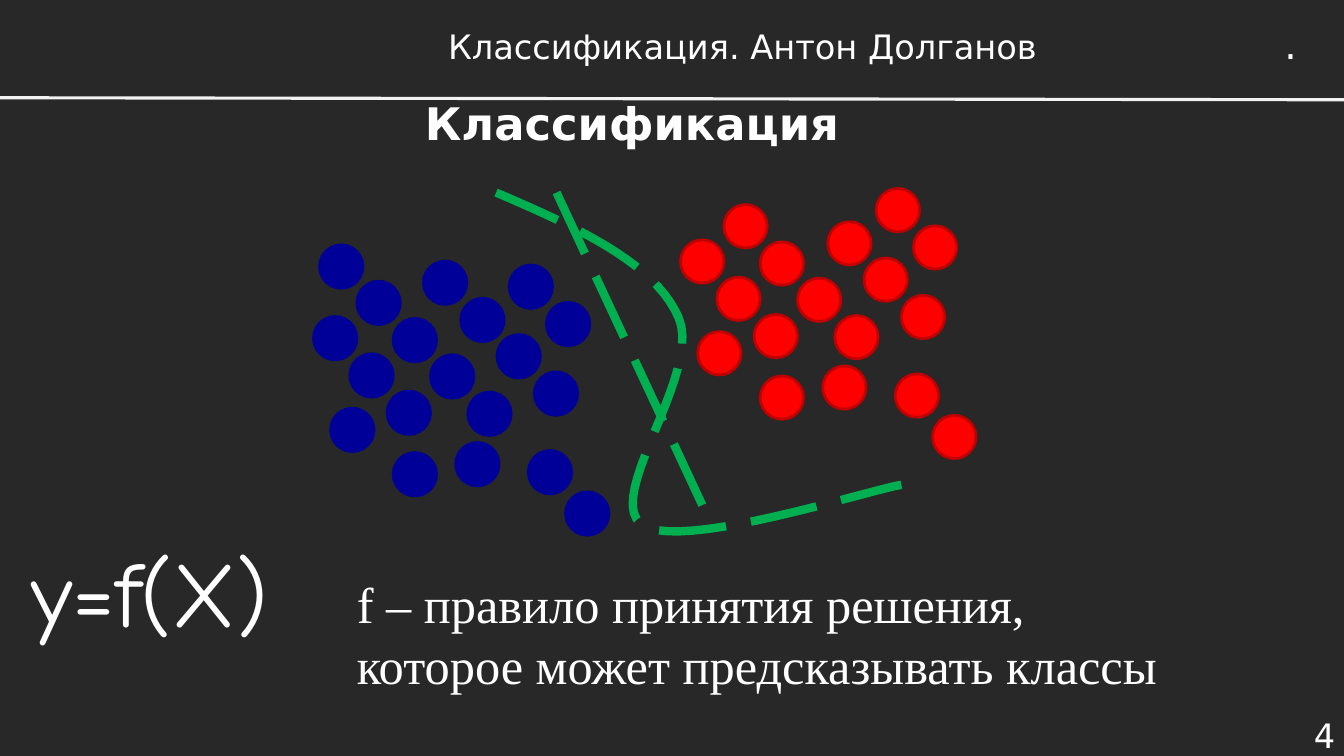
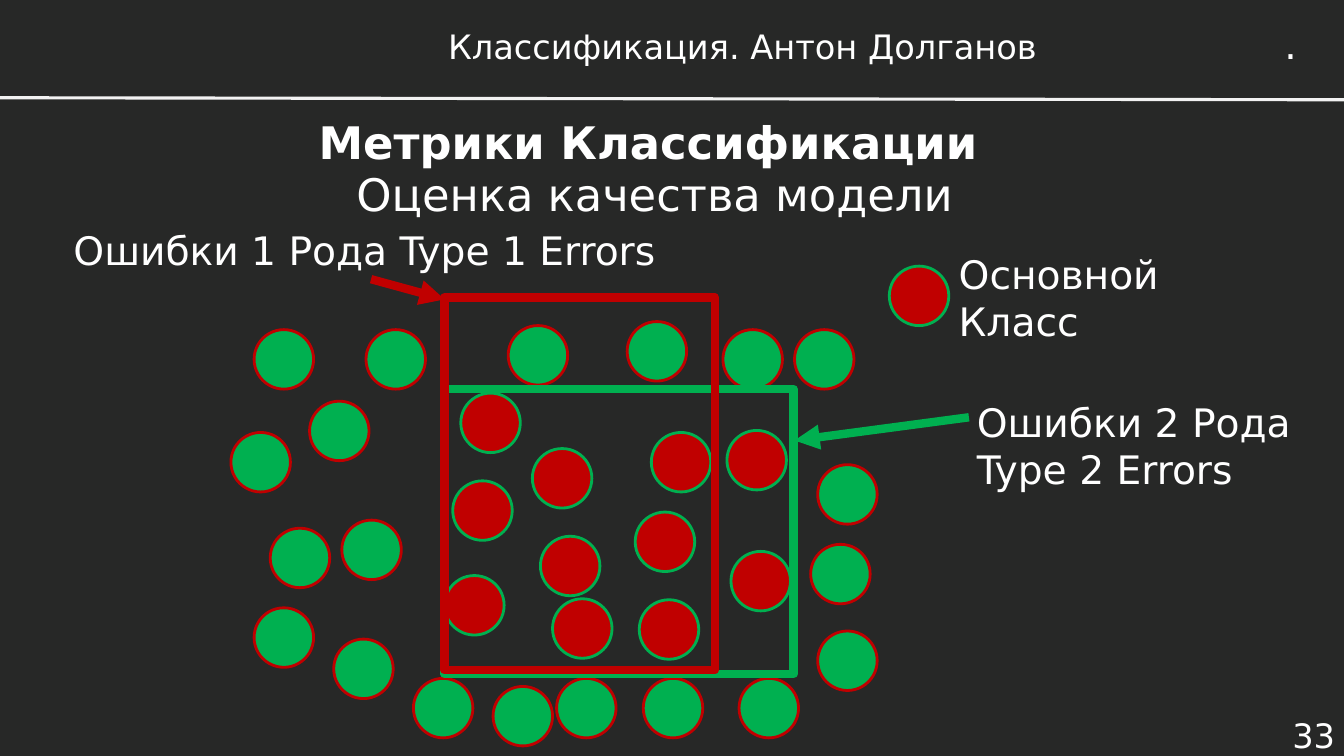
import pptx
import pptx.util
import pptx.dml.color
import pptx.enum.dml
import pptx.enum.shapes
import pptx.enum.text
import pptx.oxml

Inches = pptx.util.Inches
Pt = pptx.util.Pt
RGB = pptx.dml.color.RGBColor
Kind = pptx.enum.shapes.MSO_SHAPE
Align = pptx.enum.text.PP_ALIGN
Anchor = pptx.enum.text.MSO_ANCHOR
Fit = pptx.enum.text.MSO_AUTO_SIZE

# Shared look
DARK = RGB(0x27, 0x28, 0x27)
WHITE = RGB(0xFF, 0xFF, 0xFF)
PALE = RGB(0xF2, 0xF2, 0xF2)
GREEN = RGB(0x00, 0xB0, 0x50)
CRIMSON = RGB(0xC0, 0x00, 0x00)
RED = RGB(0xFF, 0x00, 0x00)
BLUE = RGB(0x00, 0x00, 0x98)
SANS, SERIF, HAND = "DejaVu Sans", "Times New Roman", "Comic Neue"
HEADER = "Классификация. Антон Долганов"

# Slide 1: blue dots; the red ones repeat most of them, moved by SHIFT
DOT = 0.43
LONE = [(3.17, 2.43), (4.2, 2.59)]
TWINS = [
    (3.54, 2.79), (3.9, 3.16), (4.27, 3.52), (4.64, 3.89), (5.24, 4.47),
    (5.61, 4.88), (4.57, 2.96), (4.93, 3.32), (5.3, 3.69), (3.11, 3.14),
    (3.47, 3.51), (3.84, 3.88), (4.52, 4.39), (3.28, 4.05), (3.9, 4.49),
    (5.05, 2.63), (5.42, 3),
]
SHIFT = (3.64, -0.76)
SPLIT = [(5.52, 1.91), (7.04, 5.17)]
CURVE = [
    (4.92, 1.91), (5.71, 2.25), (6.49, 2.6), (6.73, 3.15), (6.97, 3.69),
    (5.99, 4.92), (6.36, 5.2), (6.72, 5.48), (8.62, 4.86), (8.94, 4.81),
]
RULE = "f – правило принятия решения, которое может предсказывать классы"

# Slide 2: balls of the main class and of the other one
BALL = 0.59
MAIN = [
    (4.49, 4.77), (4.57, 3.9), (5.28, 4.45), (6.46, 4.29), (5.36, 5.32),
    (4.41, 5.71), (6.34, 5.95), (6.3, 5.08), (5.48, 5.94), (7.21, 4.27),
    (7.25, 5.47), (8.82, 2.64),
]
OTHER = [
    (2.52, 3.27), (2.29, 4.29), (3.63, 3.27), (3.07, 3.98), (2.68, 5.24),
    (2.52, 6.03), (3.39, 5.16), (3.31, 6.34), (4.1, 6.73), (4.89, 6.81),
    (5.52, 6.73), (6.38, 6.73), (5.04, 3.23), (6.22, 3.19), (7.88, 3.27),
    (8.04, 5.4), (8.11, 4.61), (7.33, 6.73), (8.11, 6.26), (7.17, 3.27),
]
LABELS = [
    ("Основной Класс", (9.41, 2.43, 3.49, 0.57)),
    ("Ошибки 2 Рода\nType 2 Errors", (9.59, 3.9, 3.45, 1.04)),
    ("Ошибки 1 Рода Type 1 Errors", (0.63, 2.2, 6.09, 0.57)),
]
ARROWS = [
    ((9.61, 4.14), (7.88, 4.37), GREEN),
    ((3.68, 2.77), (4.41, 2.97), CRIMSON),
]
FRAMES = [
    ((4.41, 3.86, 3.46, 2.83), GREEN),
    ((4.41, 2.95, 2.68, 3.7), CRIMSON),
]


def inch(box):
    return [Inches(n) for n in box]


def style(frame, size, font=SANS, align=Align.LEFT, bold=False):
    for par in frame.paragraphs:
        par.alignment = align
        for run in par.runs:
            run.font.size = Pt(size)
            run.font.name = font
            run.font.bold = bold
            run.font.color.rgb = WHITE


def write(slide, text, box, size, font=SANS, align=Align.LEFT,
          anchor=Anchor.TOP, wrap=True):
    frame = slide.shapes.add_textbox(*inch(box)).text_frame
    frame.word_wrap = wrap
    if not wrap:
        frame.auto_size = Fit.SHAPE_TO_FIT_TEXT
    frame.vertical_anchor = anchor
    frame.text = text
    style(frame, size, font, align)


def stroke(shape, color, width, dash=False):
    shape.line.color.rgb = color
    shape.line.width = Pt(width)
    if dash:
        shape.line.dash_style = pptx.enum.dml.MSO_LINE.LONG_DASH


def add_line(slide, start, end, color, width, dash=False, arrow=False):
    line = slide.shapes.add_connector(
        pptx.enum.shapes.MSO_CONNECTOR.STRAIGHT, *inch(start + end))
    stroke(line, color, width, dash)
    if arrow:
        tip = pptx.oxml.ns.qn("a:tailEnd")
        line.line._get_or_add_ln().makeelement(tip)
        pptx.oxml.xmlchemy.OxmlElement
        head = pptx.oxml.xmlchemy.OxmlElement("a:tailEnd")
        head.set("type", "triangle")
        line.line._get_or_add_ln().append(head)
    line._element.spPr.append(pptx.oxml.xmlchemy.OxmlElement("a:effectLst"))


def add_dots(slide, spots, size, fill, edge):
    for left, top in spots:
        dot = slide.shapes.add_shape(Kind.OVAL, *inch((left, top, size, size)))
        dot.shadow.inherit = False
        dot.fill.solid()
        dot.fill.fore_color.rgb = fill
        stroke(dot, edge, 2)


def add_curve(slide, knots, steps=20):
    """Draw a chain of cubic arcs as one fine open outline."""
    points = []
    for i in range(0, len(knots) - 1, 3):
        for step in range(1, steps + 1):
            t = step / steps
            parts = ((1 - t) ** 3, 3 * t * (1 - t) ** 2,
                     3 * t * t * (1 - t), t ** 3)
            points.append([
                Inches(sum(w * knot[axis]
                           for w, knot in zip(parts, knots[i:i + 4])))
                for axis in (0, 1)])
    pen = slide.shapes.build_freeform(*inch(knots[0]))
    pen.add_line_segments(points, close=False)
    curve = pen.convert_to_shape()
    curve.shadow.inherit = False
    curve.fill.background()
    stroke(curve, GREEN, 6, dash=True)


def add_slide(deck, title, box, number):
    slide = deck.slides.add_slide(deck.slide_layouts[5])
    head = slide.shapes.title
    head.left, head.top, head.width, head.height = inch(box)
    head.text_frame.text = title
    head.text_frame.vertical_anchor = Anchor.MIDDLE
    style(head.text_frame, 32, align=Align.CENTER, bold=True)
    # Header band and page number
    write(slide, number, (12.29, 7.08, 1.05, 0.42), 24,
          align=Align.RIGHT, anchor=Anchor.MIDDLE)
    write(slide, HEADER, (3.44, 0.19, 7.85, 0.53), 24,
          align=Align.CENTER, anchor=Anchor.MIDDLE)
    write(slide, ".", (12.64, 0.15, 0.34, 0.57), 28, wrap=False)
    add_line(slide, (0, 0.97), (13.33, 0.99), PALE, 2.25)
    return slide


def draw_classes(deck):
    slide = add_slide(deck, "Классификация", (1.94, 0.76, 8.66, 0.91), "4")
    write(slide, "y=f(X)", (0.21, 5.26, 3.07, 1.21), 66, HAND)
    write(slide, RULE, (3.44, 5.64, 8.35, 1.31), 36, SERIF)
    moved = [(x + SHIFT[0], y + SHIFT[1]) for x, y in TWINS]
    add_dots(slide, moved, DOT, RED, CRIMSON)
    add_dots(slide, LONE + TWINS, DOT, BLUE, BLUE)
    add_line(slide, *SPLIT, GREEN, 6, dash=True)
    add_curve(slide, CURVE)


def draw_errors(deck):
    slide = add_slide(deck, "Метрики Классификации",
                      (2.1, 0.95, 8.66, 0.91), "33")
    write(slide, "Оценка качества модели", (2.89, 1.47, 7.21, 0.91), 32,
          align=Align.CENTER, anchor=Anchor.MIDDLE)
    add_dots(slide, OTHER, BALL, GREEN, CRIMSON)
    add_dots(slide, MAIN, BALL, CRIMSON, GREEN)
    for text, box in LABELS:
        write(slide, text, box, 28, wrap=False)
    for start, end, color in ARROWS:
        add_line(slide, start, end, color, 6, arrow=True)
    for box, color in FRAMES:
        frame = slide.shapes.add_shape(Kind.RECTANGLE, *inch(box))
        frame.shadow.inherit = False
        frame.fill.background()
        stroke(frame, color, 6)


def main():
    deck = pptx.Presentation()
    deck.slide_width, deck.slide_height = inch((13.33, 7.5))
    back = deck.slide_master.background.fill
    back.solid()
    back.fore_color.rgb = DARK
    draw_classes(deck)
    draw_errors(deck)
    deck.save("out.pptx")


if __name__ == "__main__":
    main()
